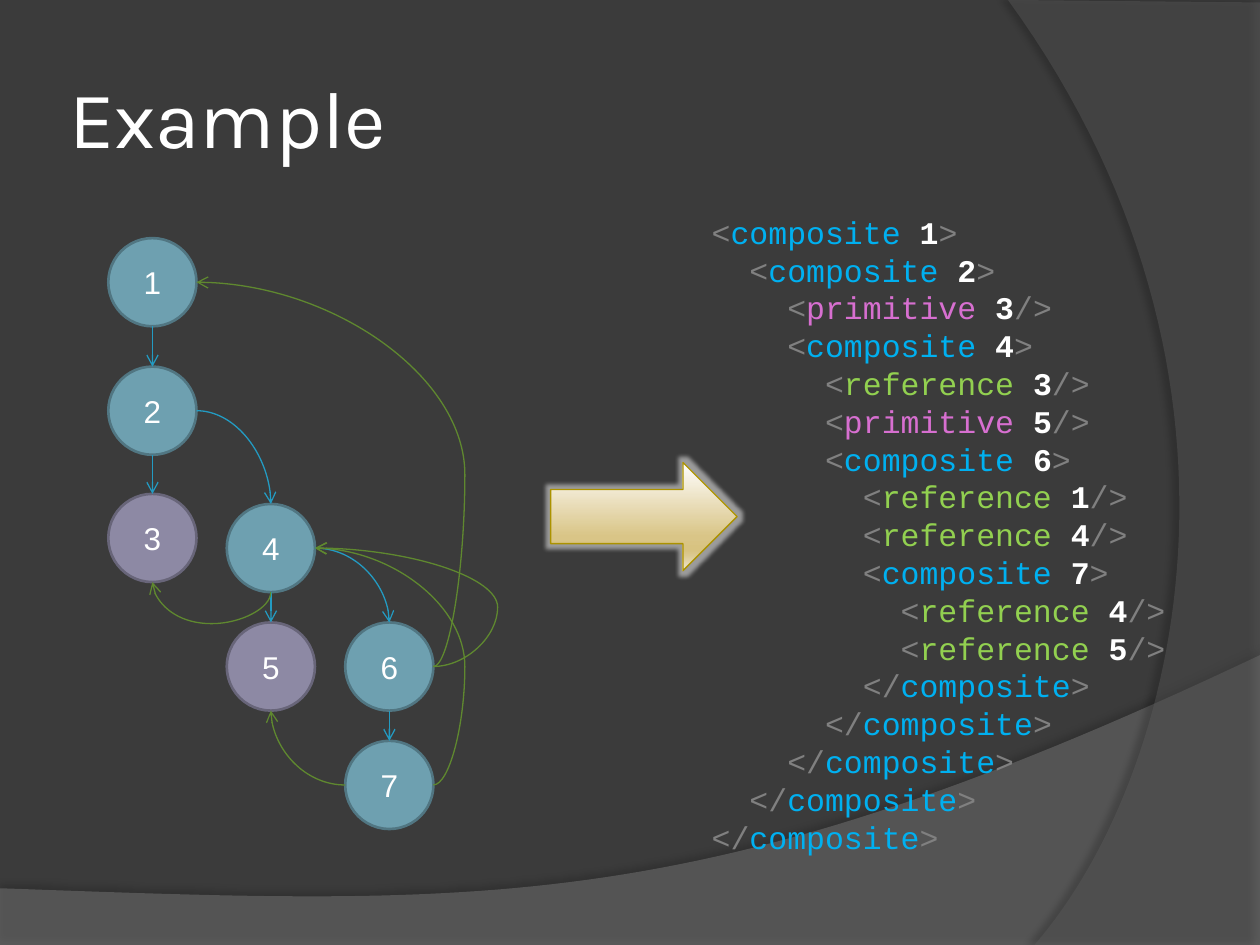
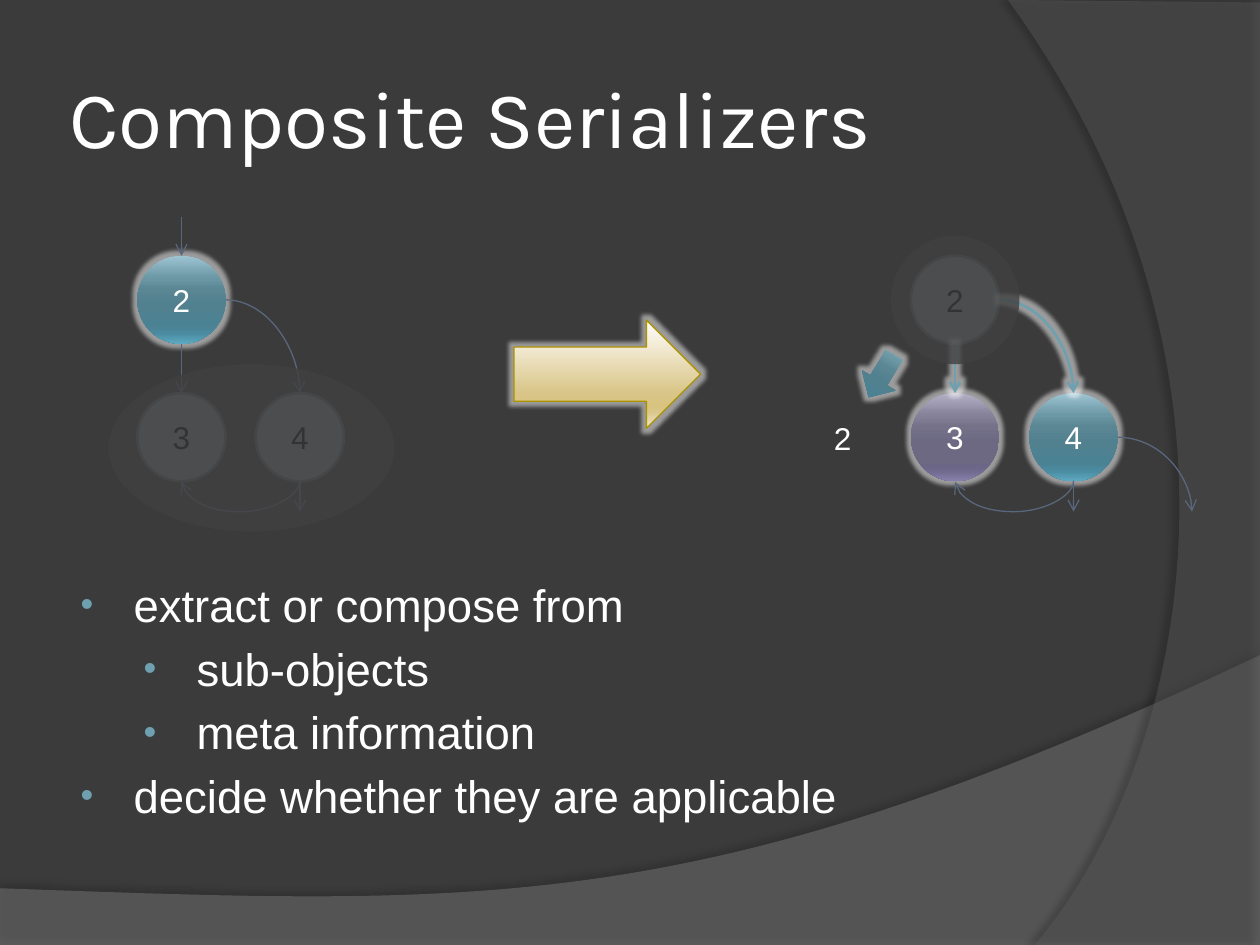
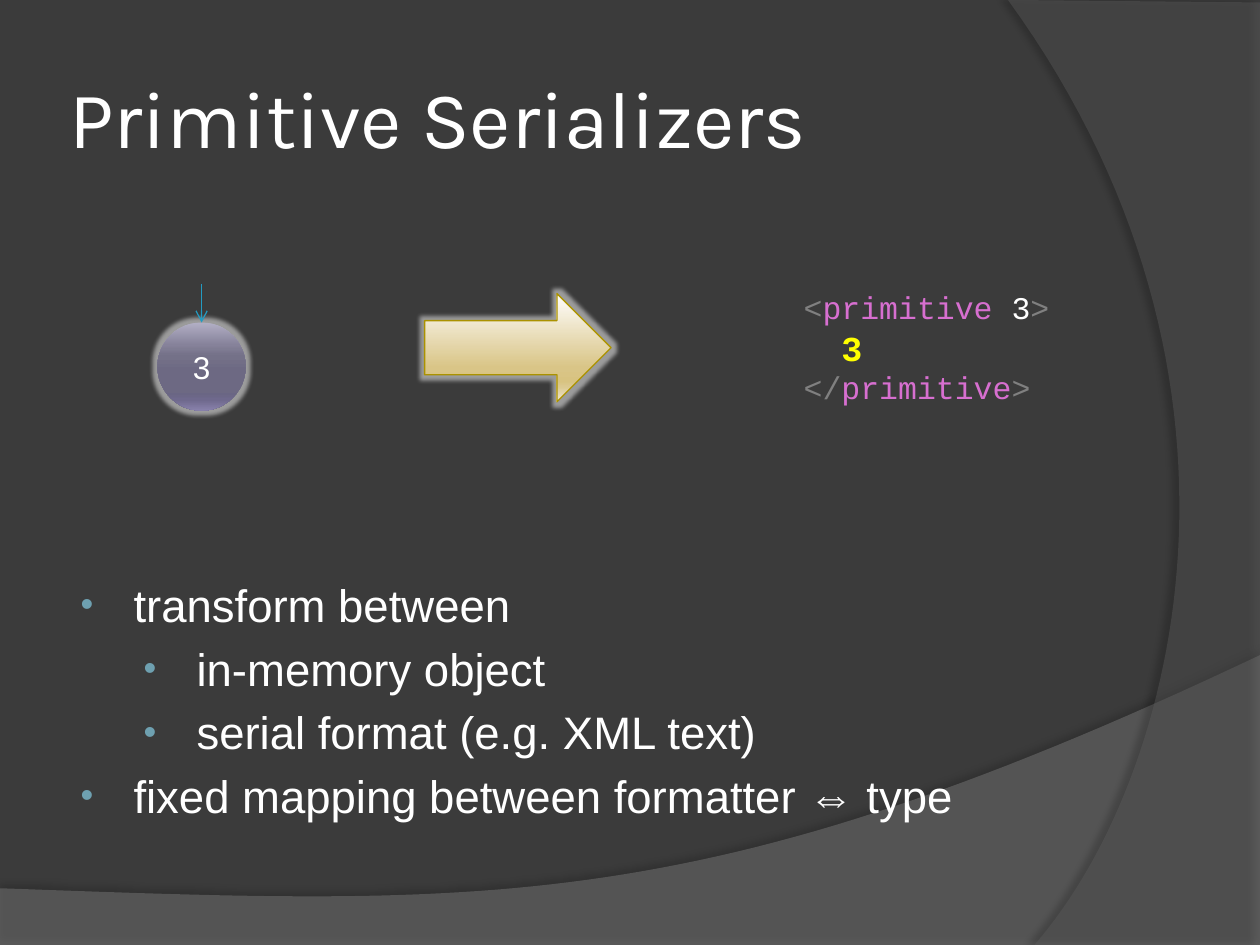
from lxml.etree import SubElement
from pptx import Presentation
from pptx.dml.color import RGBColor
from pptx.enum.shapes import MSO_CONNECTOR, MSO_SHAPE
from pptx.enum.text import MSO_ANCHOR, MSO_AUTO_SIZE, PP_ALIGN
from pptx.oxml import parse_xml
from pptx.oxml.ns import nsdecls, qn
from pptx.util import Inches, Pt

COLOURS = {
    "ground": "3B3B3B", "swoosh": "7F7F7F", "side": "5E5E5E", "white": "FFFFFF",
    "black": "000000", "teal": "6EA0B0", "teal edge": "517682",
    "mauve": "8D89A4", "mauve edge": "686579", "dim": "7E848D",
    "dim edge": "5D6268", "veil": "404040", "arrow edge": "AB9200",
    "child": "239BC2", "back": "5F882F", "faint": "59677D",
    "bracket": "808080", "composite": "00B0F0", "primitive": "D76FD0",
    "reference": "92D050", "value": "FFFF00",
}
GLOSS = (0, 25, 38, 55, 80, 88, 100)
GRADIENTS = {
    "teal gloss": list(zip(GLOSS, ("9EC4D2", "6C97A5", "5B8694", "51808F",
                                   "4A8294", "4A8BA0", "5DAAC2"))),
    "mauve gloss": list(zip(GLOSS, ("B3B0C6", "86829A", "747188", "6D6983",
                                    "6A6684", "6F698D", "8982AC"))),
    "gold": [(0, "FFFEFE"), (68, "D9C587"), (81, "D8C381"), (86, "DBC990"),
             (100, "EFE7D3")],
}
GLOW = ('<a:glow rad="63500"><a:srgbClr val="FFFFFF"><a:alpha val="50000"/>'
        '</a:srgbClr></a:glow>')
SHADOW = ('<a:outerShdw blurRad="50800" dist="{}" dir="{}" algn="ctr" rotWithShape="0">'
          '<a:srgbClr val="000000"><a:alpha val="{}"/></a:srgbClr></a:outerShdw>')
# side of an ellipse: share of width, share of height, connection site
SIDES = {"top": (0.5, 0, 0), "left": (0, 0.5, 2), "bottom": (0.5, 1, 4),
         "right": (1, 0.5, 6)}
NODE = Inches(0.7)
STEP = 0.94  # distance between neighbouring node columns


def paint(shape, fill, line=None, width=1.5, opacity=100, effect="", text="", ink="white"):
    """Give a shape its fill, outline, effect and centred label."""
    properties = shape.element.spPr
    if fill in GRADIENTS:
        shape.fill.gradient()
        shape.fill.gradient_angle = 270
        stops = properties.find(".//" + qn("a:gsLst"))
        stops.clear()
        for position, colour in GRADIENTS[fill]:
            stop = SubElement(stops, qn("a:gs"), pos=str(position * 1000))
            SubElement(stop, qn("a:srgbClr"), val=colour)
    else:
        shape.fill.solid()
        shape.fill.fore_color.rgb = RGBColor.from_string(COLOURS[fill])
        if opacity < 100:
            colour = properties.find(qn("a:solidFill"))[0]
            SubElement(colour, qn("a:alpha"), val=str(opacity * 1000))
    if line:
        shape.line.color.rgb = RGBColor.from_string(COLOURS[line])
        shape.line.width = Pt(width)
    else:
        shape.line.fill.background()
    properties.append(parse_xml(f'<a:effectLst {nsdecls("a")}>{effect}</a:effectLst>'))
    if text:
        frame = shape.text_frame
        frame.text = text
        frame.vertical_anchor = MSO_ANCHOR.MIDDLE
        frame.paragraphs[0].alignment = PP_ALIGN.CENTER
        font = frame.paragraphs[0].runs[0].font
        font.size, font.name = Pt(18), "Arial"
        font.color.rgb = RGBColor.from_string(COLOURS[ink])
    return shape


def link(shapes, start, end, colour, width=0.75, bulge=None, effect=""):
    """Draw a curved arrow between two (node or point, side) ends."""
    points = []
    for anchor, side in (start, end):
        if isinstance(anchor, tuple):
            points.append([Inches(value) for value in anchor])
        else:
            across, down, site = SIDES[side]
            points.append((anchor.left + int(anchor.width * across),
                           anchor.top + int(anchor.height * down)))
    (x1, y1), (x2, y2) = points
    upright = [side in ("top", "bottom") for anchor, side in (start, end)]
    reach = x2 - x1
    if all(upright):  # the preset runs sideways, so lay it out sideways and turn it
        reach, rise = y2 - y1 or Inches(0.01), x1 - x2
        middle_x, middle_y = (x1 + x2) // 2, (y1 + y2) // 2
        x1, y1 = middle_x - reach // 2, middle_y - rise // 2
        x2, y2 = x1 + reach, y1 + rise
    arrow = shapes.add_connector(MSO_CONNECTOR.CURVE, x1, y1, x2, y2)
    properties = arrow.element.spPr
    geometry = properties.find(qn("a:prstGeom"))
    if all(upright):
        properties.find(qn("a:xfrm")).set("rot", str(90 * 60000))
    elif any(upright):
        geometry.set("prst", "curvedConnector2")
    if bulge:
        SubElement(geometry.find(qn("a:avLst")), qn("a:gd"), name="adj1",
                   fmla=f"val {round(Inches(bulge) / reach * 100000)}")
    ends = arrow.element.find(".//" + qn("p:cNvCxnSpPr"))
    for tag, (anchor, side) in (("a:stCxn", start), ("a:endCxn", end)):
        if not isinstance(anchor, tuple):
            SubElement(ends, qn(tag), id=str(anchor.shape_id), idx=str(SIDES[side][2]))
    arrow.line.color.rgb = RGBColor.from_string(COLOURS[colour])
    arrow.line.width = Pt(width)
    SubElement(properties.find(qn("a:ln")), qn("a:tailEnd"), type="arrow")
    properties.append(parse_xml(f'<a:effectLst {nsdecls("a")}>{effect}</a:effectLst>'))


deck = Presentation()
deck.slide_width, deck.slide_height = Inches(10), Inches(7.5)

# Titles and lists
outlines = [
    ("Example", []),
    ("Composite Serializers", [
        (0, "extract or compose from"), (1, "sub-objects"),
        (1, "meta information"), (0, "decide whether they are applicable")]),
    ("Primitive Serializers", [
        (0, "transform between"), (1, "in-memory object"),
        (1, "serial format (e.g. XML text)"),
        (0, "fixed mapping between formatter ⇔ type")]),
]
pages = []
for heading, items in outlines:
    page = deck.slides.add_slide(deck.slide_layouts[1 if items else 5])
    pages.append(page)
    title = page.shapes.title
    title.left, title.top = Inches(0.5), Inches(0.3)
    title.width, title.height = Inches(8.17), Inches(1.25)
    frame = title.text_frame
    frame.text = heading
    frame.auto_size = MSO_AUTO_SIZE.NONE
    frame.vertical_anchor = MSO_ANCHOR.MIDDLE
    frame.margin_left = frame.margin_right = Inches(0.05)
    frame.margin_top = frame.margin_bottom = Inches(0.05)
    frame.paragraphs[0].alignment = PP_ALIGN.LEFT
    font = frame.paragraphs[0].runs[0].font
    font.size, font.name = Pt(46), "Karla"
    font.color.rgb = RGBColor.from_string(COLOURS["white"])
    if not items:
        continue
    body = page.placeholders[1]
    body.left, body.top = Inches(0.5), Inches(4.53)
    body.width, body.height = Inches(8.17), Inches(2.11)
    frame = body.text_frame
    frame.text = "\n".join(text for level, text in items)
    frame.auto_size = MSO_AUTO_SIZE.NONE
    for para, (level, text) in zip(frame.paragraphs, items):
        para.level = level
        settings = para._p.get_or_add_pPr()
        settings.set("marL", str(Inches(0.46 + 0.5 * level)))
        settings.set("indent", str(Inches(-0.42)))
        bullet = SubElement(settings, qn("a:buClr"))
        SubElement(bullet, qn("a:srgbClr"), val=COLOURS["teal"])
        SubElement(settings, qn("a:buSzPct"), val="80000")
        SubElement(settings, qn("a:buFont"), typeface="Arial")
        SubElement(settings, qn("a:buChar"), char="•")
        font = para.runs[0].font
        font.size, font.name = Pt(26), "Arial"
        font.color.rgb = RGBColor.from_string(COLOURS["white"])

# Shared background: two translucent bands, each with one curved edge, on the master
master = deck.slide_master
master.background.fill.solid()
master.background.fill.fore_color.rgb = RGBColor.from_string(COLOURS["ground"])
bands = [
    ("swoosh", 45, SHADOW.format(44450, 270 * 60000, 35000),
     [(0, 7.05), (0, 7.5), (10, 7.5)],
     [(10, 5.2), (5.59, 7.29), (3.91, 7.19), (0, 7.05)]),
    ("side", 40, SHADOW.format(50800, 180 * 60000, 45000),
     [(10, 0.02), (10, 7.5)],
     [(8.21, 7.5), (9.35, 6.19), (10.18, 3), (8, 0)]),
]
for number, (fill, opacity, shade, corners, curve) in enumerate(bands):
    outline = list(corners)
    for step in range(61):
        t = step / 60
        weights = ((1 - t) ** 3, 3 * t * (1 - t) ** 2, 3 * t * t * (1 - t), t ** 3)
        outline.append([sum(weight * point[axis] for weight, point in zip(weights, curve))
                        for axis in (0, 1)])
    outline = [(Inches(x), Inches(y)) for x, y in outline]
    builder = pages[0].shapes.build_freeform(*outline[0])
    builder.add_line_segments(outline[1:], close=True)
    band = paint(builder.convert_to_shape(), fill, opacity=opacity, effect=shade)
    band.element.nvSpPr.cNvPr.set("id", str(50 + number))
    master.shapes.element.insert(2 + number, band.element)

# Object graph on the first page
shapes = pages[0].shapes
cells = {  # label: column, top, colour
    1: (0, 1.89, "teal"), 2: (0, 2.91, "teal"), 3: (0, 3.92, "mauve"),
    5: (1, 4 + STEP, "mauve"), 6: (2, 4 + STEP, "teal"),
    4: (1, 4, "teal"), 7: (2, 4 + 2 * STEP, "teal"),
}
nodes = {}
for label, (column, top, colour) in cells.items():
    oval = shapes.add_shape(MSO_SHAPE.OVAL, Inches(0.86 + column * STEP), Inches(top),
                            NODE, NODE)
    nodes[label] = paint(oval, colour, colour + " edge", text=str(label))
for source, exit_side, target, entry_side, colour, bulge in [
        (1, "bottom", 2, "top", "child", None),
        (2, "bottom", 3, "top", "child", None),
        (2, "right", 4, "top", "child", None),
        (4, "bottom", 5, "top", "child", None),
        (4, "bottom", 3, "bottom", "back", 0.25),
        (4, "right", 6, "top", "child", None),
        (6, "bottom", 7, "top", "child", None),
        (7, "left", 5, "bottom", "back", None),
        (7, "right", 4, "right", "back", 0.25),
        (6, "right", 1, "right", "back", 0.25),
        (6, "right", 4, "right", "back", 0.51)]:
    link(shapes, (nodes[source], exit_side), (nodes[target], entry_side), colour,
         bulge=bulge)

# Serialized text on the first and third pages: level and line
listings = [
    (pages[0], (5.55, 1.64, 3.83, 5.25), True, [
        (0, "<composite 1>"), (1, "<composite 2>"), (2, "<primitive 3/>"),
        (2, "<composite 4>"), (3, "<reference 3/>"), (3, "<primitive 5/>"),
        (3, "<composite 6>"), (4, "<reference 1/>"), (4, "<reference 4/>"),
        (4, "<composite 7>"), (5, "<reference 4/>"), (5, "<reference 5/>"),
        *[(level, "</composite>") for level in (4, 3, 2, 1, 0)]]),
    (pages[2], (6.28, 2.24, 2.16, 1.04), False, [
        (0, "<primitive 3>"), (1, "3"), (0, "</primitive>")]),
]
for page, place, strong, lines in listings:
    box = page.shapes.add_textbox(*[Inches(value) for value in place])
    frame = box.text_frame
    frame.word_wrap = strong
    for number, (level, line) in enumerate(lines):
        para = frame.paragraphs[0] if number == 0 else frame.add_paragraph()
        para._p.get_or_add_pPr().set("marL", str(Inches(0.3 * level)))
        size = 18
        if line.startswith("<"):
            opening = "</" if line.startswith("</") else "<"
            closing = "/>" if line.endswith("/>") else ">"
            name, gap, label = line[len(opening):-len(closing)].partition(" ")
            spans = [(opening, "bracket", False), (name + gap, name, False),
                     (label, "white", strong), (closing, "bracket", False)]
        else:
            size = 20
            spans = [(line, "value", True)]
        para.line_spacing = Pt(1.2 * size)
        for text, colour, bold in spans:
            if text:
                span = para.add_run()
                span.text = text
                span.font.size, span.font.name, span.font.bold = Pt(size), "Courier New", bold
                span.font.color.rgb = RGBColor.from_string(COLOURS[colour])

# Large arrow on every page
for page, left, top in zip(pages, (4.37, 4.08, 3.37), (3.67, 2.54, 2.33)):
    arrow = page.shapes.add_shape(MSO_SHAPE.RIGHT_ARROW, Inches(left), Inches(top),
                                  Inches(1.48), Inches(0.86))
    paint(arrow, "gold", "arrow edge", 0.75, effect=GLOW)

# Two halves of the second page: the same three nodes, with another part veiled
halves = [
    (7.23, {2: "dim", 3: "mauve gloss", 4: "teal gloss"}, (7.07, 1.87, 1.02, 1.02)),
    (1.09, {2: "teal gloss", 3: "dim", 4: "dim"}, (0.86, 2.89, 2.27, 1.33)),
]
spots = {2: (0, 2.03), 3: (0, 3.12), 4: (1, 3.12)}
for left, fills, veil in halves:
    shapes = pages[1].shapes.add_group_shape().shapes
    nodes = {}
    for label, (column, top) in spots.items():
        oval = shapes.add_shape(MSO_SHAPE.OVAL, Inches(left + column * STEP), Inches(top),
                                NODE, NODE)
        if fills[label] == "dim":
            nodes[label] = paint(oval, "dim", "dim edge", text=str(label), ink="black")
        else:
            nodes[label] = paint(oval, fills[label], effect=GLOW, text=str(label))
    result = fills[2] == "dim"
    look = ("teal", 1.5, None, GLOW) if result else ("faint",)
    axis = left + 0.35
    if not result:
        link(shapes, ((axis, 1.72), "bottom"), (nodes[2], "top"), "faint")
    link(shapes, (nodes[2], "bottom"), (nodes[3], "top"), *look)
    link(shapes, (nodes[2], "right"), (nodes[4], "top"), *look)
    link(shapes, (nodes[4], "bottom"), ((axis + STEP, 4.06), "top"), "faint")
    link(shapes, (nodes[4], "bottom"), (nodes[3], "bottom"), "faint", bulge=0.25)
    if result:
        link(shapes, (nodes[4], "right"), ((axis + 2 * STEP, 4.06), "top"), "faint")
        label = shapes.add_textbox(Inches(6.52), Inches(3.28), Inches(0.39), Inches(0.4))
        label.text_frame.text = "2"
        label.text_frame.word_wrap = True
        font = label.text_frame.paragraphs[0].runs[0].font
        font.size, font.name = Pt(18), "Arial"
        font.color.rgb = RGBColor.from_string(COLOURS["white"])
        pointer = shapes.add_shape(MSO_SHAPE.DOWN_ARROW, Inches(6.84), Inches(2.79),
                                   Inches(0.31), Inches(0.39))
        pointer.rotation = 31
        paint(pointer, "teal gloss", effect=GLOW)
    cover = shapes.add_shape(MSO_SHAPE.OVAL, *[Inches(value) for value in veil])
    paint(cover, "veil", opacity=80)

# Single node on the third page
shapes = pages[2].shapes.add_group_shape().shapes
oval = shapes.add_shape(MSO_SHAPE.OVAL, Inches(1.25), Inches(2.56), NODE, NODE)
paint(oval, "mauve gloss", effect=GLOW, text="3")
link(shapes, ((1.6, 2.25), "bottom"), (oval, "top"), "child")

deck.save("out.pptx")
